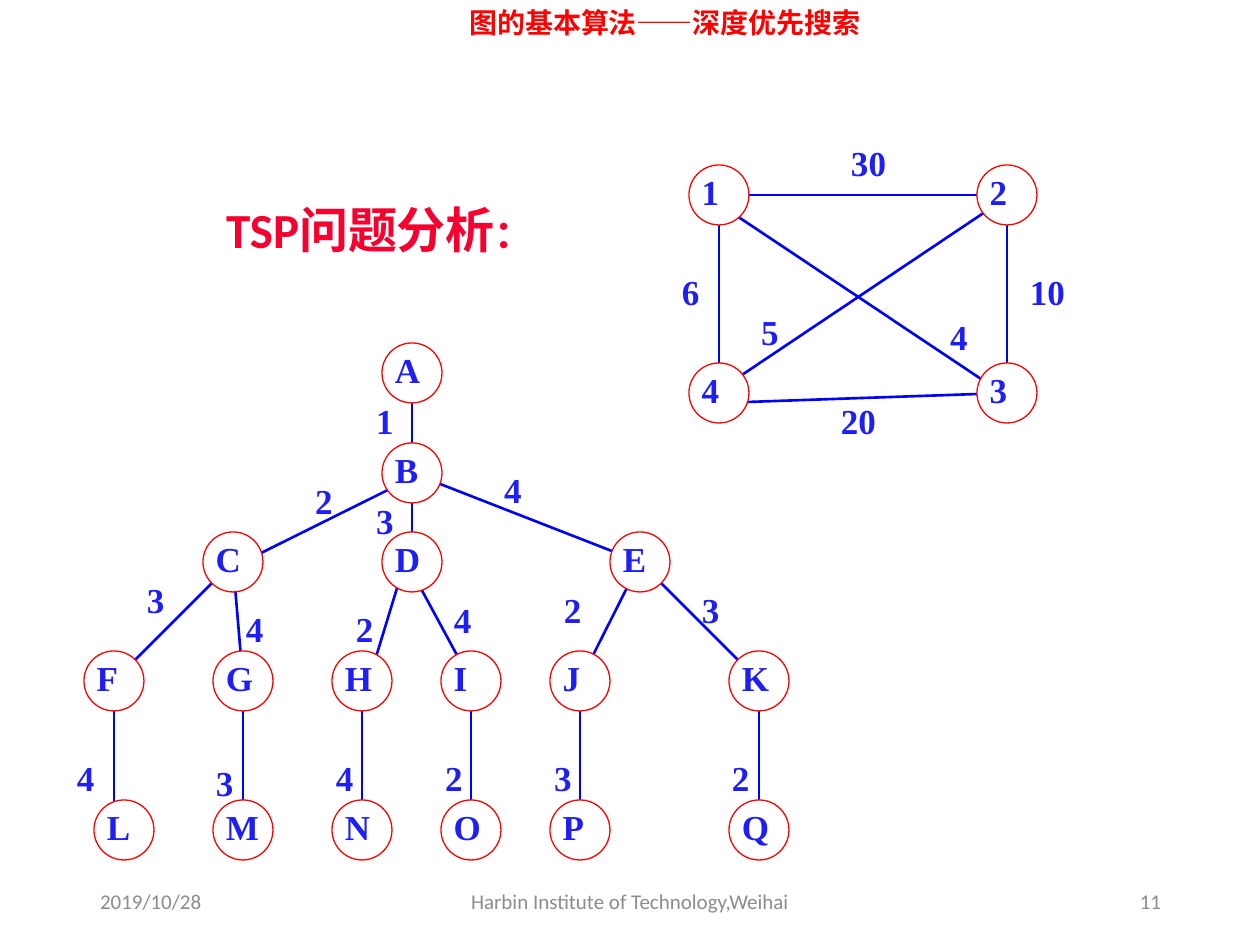
from lxml import etree
from pptx import Presentation
from pptx.dml.color import RGBColor
from pptx.enum.shapes import MSO_CONNECTOR, MSO_SHAPE
from pptx.enum.text import MSO_ANCHOR, PP_ALIGN
from pptx.oxml.ns import qn
from pptx.util import Emu, Pt

COLORS = {"white": "FFFFFF", "edge": "0000FF", "ring": "FF0000", "label": "1F1FF5",
          "heading": "F6002F", "header": "FF0000", "footer": "8C8C8C"}
NODE = 60


def px(n):
    return Emu(round(n * 914400 / 126))


def write(frame, *runs, font="Times New Roman", color="label", bold=True,
          align=PP_ALIGN.LEFT, anchor=MSO_ANCHOR.TOP, margins=(13, 6, 13, 6),
          line_spacing=None, wrap=True):
    """Fill a text frame with (text, points) runs; margins are left, top, right, bottom."""
    frame.word_wrap = wrap
    frame.vertical_anchor = anchor
    (frame.margin_left, frame.margin_top,
     frame.margin_right, frame.margin_bottom) = map(px, margins)
    paragraph = frame.paragraphs[0]
    paragraph.alignment = align
    paragraph.line_spacing = line_spacing
    for text, size in runs:
        run = paragraph.add_run()
        run.text = text
        run.font.size = Pt(size)
        run.font.bold = bold
        run.font.color.rgb = RGBColor.from_string(COLORS[color])
        run.font.name = font
        east_asian = "Noto Sans CJK SC" if font == "Calibri" else font
        etree.SubElement(run.font._element, qn("a:ea"), typeface=east_asian)


deck = Presentation()
deck.slide_width, deck.slide_height = px(1260), px(945)
slide = deck.slides.add_slide(deck.slide_layouts[6])
shapes = slide.shapes

# Node centres
centers = {"1": (719, 195), "2": (1007, 195), "3": (1007, 393), "4": (719, 393),
           "A": (412, 373), "B": (412, 473),
           "C": (233, 562), "D": (412, 562), "E": (640, 562), "L": (124, 830)}
columns = (114, 243, 362, 471, 580, 759)
centers.update({name: (x, 681) for name, x in zip("FGHIJK", columns)})
centers.update({name: (x, 830) for name, x in zip("MNOPQ", columns[1:])})

# Start, end, weight, left and top of the weight
edges = [
    ("1", "2", "30", 838, 135), ("1", "3", "4", 937, 309), ("1", "4", "6", 669, 264),
    ("2", "3", "10", 1017, 264), ("2", "4", "5", 748, 304), ("4", "3", "20", 828, 393),
    ("A", "B", "1", 363, 393), ("B", "C", "2", 302, 473), ("B", "D", "3", 363, 493),
    ("B", "E", "4", 491, 462), ("C", "F", "3", 134, 572), ("C", "G", "4", 233, 601),
    ("D", "H", "2", 343, 601), ("D", "I", "4", 441, 592), ("E", "J", "2", 551, 582),
    ("E", "K", "3", 689, 582), ("F", "L", "4", 64, 750), ("G", "M", "3", 203, 755),
    ("H", "N", "4", 323, 750), ("I", "O", "2", 432, 750), ("J", "P", "3", 541, 750),
    ("K", "Q", "2", 719, 750),
]
# Shifts (start x, start y, end x, end y) of edges that miss the node centres
shifts = {"13": (0, 9, 10, 10), "24": (-10, 9, 11, -10), "43": (0, 10, 0, 0),
          "BC": (-10, 10, 10, 0), "DH": (-10, 10, 10, -11), "DI": (0, 10, 0, 0),
          "FL": (0, 0, -10, 0)}

for start, end, *_ in edges:
    shift = shifts.get(start + end, (0, 0, 0, 0))
    points = [px(a + b) for a, b in zip(centers[start] + centers[end], shift)]
    edge = shapes.add_connector(MSO_CONNECTOR.STRAIGHT, *points)
    edge.line.color.rgb = RGBColor.from_string(COLORS["edge"])
    edge.line.width = Pt(1.5)
    etree.SubElement(edge._element.spPr, qn("a:effectLst"))

for name, (x, y) in centers.items():
    node = shapes.add_shape(MSO_SHAPE.OVAL, px(x - NODE / 2), px(y - NODE / 2),
                            px(NODE), px(NODE))
    node.shadow.inherit = False
    node.fill.solid()
    node.fill.fore_color.rgb = RGBColor.from_string(COLORS["white"])
    node.line.color.rgb = RGBColor.from_string(COLORS["ring"])
    node.line.width = Pt(0.75)
    write(node.text_frame, (name, 20), anchor=MSO_ANCHOR.MIDDLE, margins=(4, 0, 0, 7))

for _, _, weight, left, top in edges:
    label = shapes.add_textbox(px(left), px(top), px(70), px(54))
    write(label.text_frame, (weight, 20))

heading = shapes.add_textbox(px(174), px(185), px(397), px(79))
write(heading.text_frame, ("TSP问题分析", 28), ("：", 22), font="Calibri",
      color="heading", margins=(52, 26, 13, 6), line_spacing=0.8)

header = shapes.add_textbox(px(194), px(0), px(942), px(69))
write(header.text_frame, ("图的基本算法——深度优先搜索", 16), font="Noto Sans CJK SC",
      color="header", align=PP_ALIGN.CENTER, wrap=False)

for text, left, width, align in (
        ("2019/10/28", 87, 284, PP_ALIGN.LEFT),
        ("Harbin Institute of Technology,Weihai", 417, 426, PP_ALIGN.CENTER),
        ("11", 890, 284, PP_ALIGN.RIGHT)):
    footer = shapes.add_textbox(px(left), px(876), px(width), px(50))
    write(footer.text_frame, (text, 12), font="Calibri", color="footer", bold=False,
          align=align, anchor=MSO_ANCHOR.MIDDLE)

deck.save("out.pptx")
